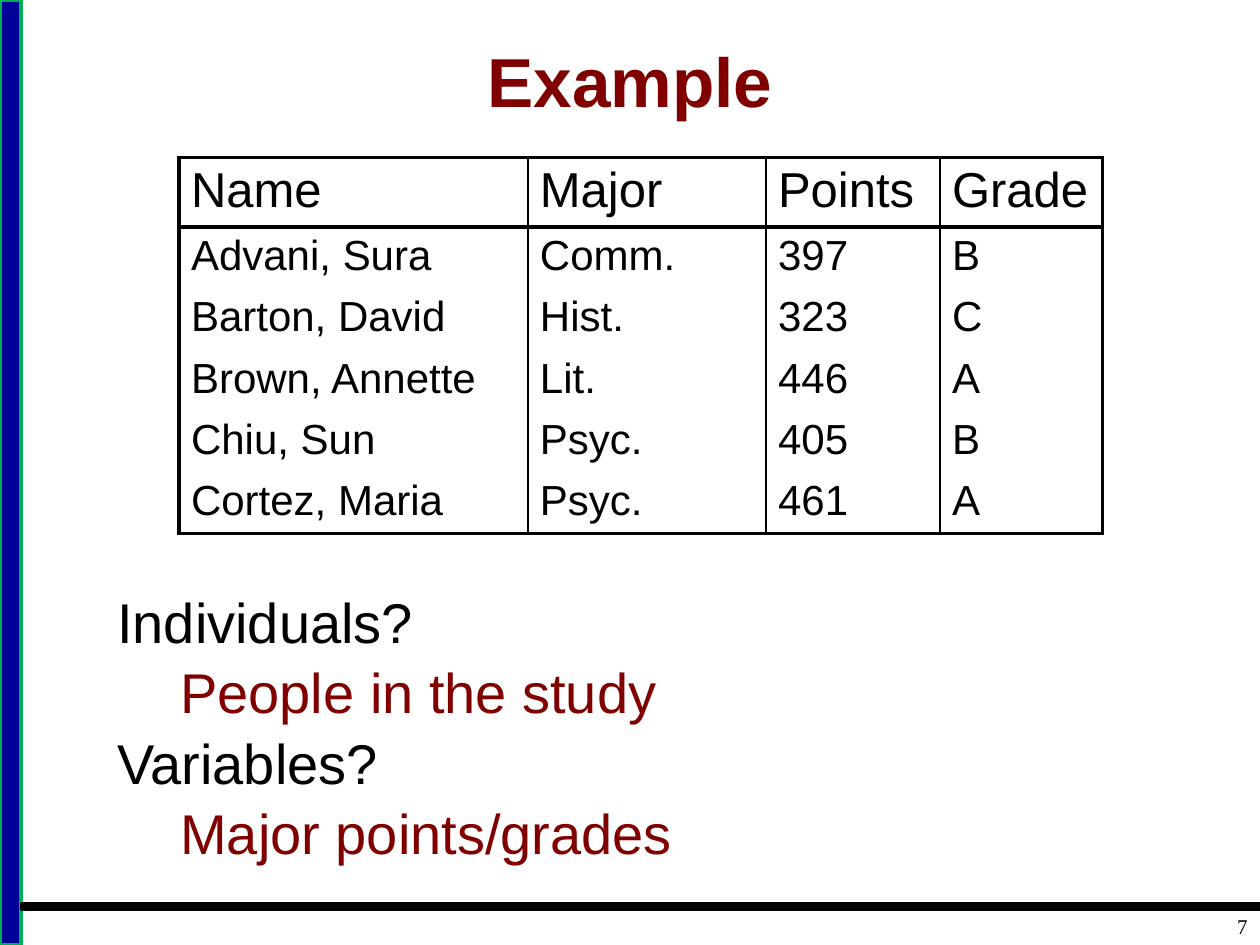
from lxml.etree import SubElement
from pptx import Presentation
from pptx.dml.color import RGBColor
from pptx.enum.shapes import MSO_SHAPE as SHAPE
from pptx.enum.text import MSO_ANCHOR as ANCHOR, MSO_AUTO_SIZE as AUTO, PP_ALIGN as ALIGN
from pptx.oxml.ns import qn
from pptx.util import Pt

BLACK, MAROON = "000000", "800000"
THICK, THIN = 2.25, 1
COLUMN_WIDTHS = [199.4, 136.1, 99.4, 92.9]
HEADER_HEIGHT, ROW_HEIGHT = 38.3, 33.9
STUDENTS = [
    ["Name", "Major", "Points", "Grade"],
    ["Advani, Sura", "Comm.", "397", "B"],
    ["Barton, David", "Hist.", "323", "C"],
    ["Brown, Annette", "Lit.", "446", "A"],
    ["Chiu, Sun", "Psyc.", "405", "B"],
    ["Cortez, Maria", "Psyc.", "461", "A"],
]
QUESTIONS = [
    ("Individuals?", "People in the study"),
    ("Variables?", "Major points/grades"),
]


def rgb(color):
    return RGBColor.from_string(color)


def place(sp, x, y, w, h):
    sp.left, sp.top, sp.width, sp.height = Pt(x), Pt(y), Pt(w), Pt(h)


def add_run(p, text, size, color=BLACK, font="Arial", bold=False):
    r = p.add_run()
    r.text = text
    r.font.name, r.font.size, r.font.bold = font, Pt(size), bold
    r.font.color.rgb = rgb(color)


def add_bar(s, x, y, w, h, fill, line):
    sp = s.shapes.add_shape(SHAPE.RECTANGLE, Pt(x), Pt(y), Pt(w), Pt(h))
    sp.shadow.inherit = False
    sp.fill.solid()
    sp.fill.fore_color.rgb = rgb(fill)
    sp.line.color.rgb = rgb(line)
    sp.line.width = Pt(2)


def add_page_number(s, number):
    tf = s.shapes.add_textbox(Pt(684), Pt(518.4), Pt(36), Pt(21.6)).text_frame
    tf.word_wrap = True
    p = tf.paragraphs[0]
    p.alignment = ALIGN.RIGHT
    add_run(p, number, 12, font="Times New Roman")


def set_title(sp, text):
    place(sp, 36, 21.6, 648, 90)
    tf = sp.text_frame
    tf.auto_size, tf.vertical_anchor, tf.margin_top = AUTO.NONE, ANCHOR.TOP, 0
    p = tf.paragraphs[0]
    p.alignment = ALIGN.CENTER
    add_run(p, text, 39.6, MAROON, bold=True)


def add_item(p, text, level, color):
    """Write one list line without a bullet, indented by its level."""
    p.level = level
    p.space_before = Pt(1.7)
    add_run(p, text, 32, color)
    pPr = p._p.get_or_add_pPr()
    pPr.set("marL", str(Pt(36 * level)))
    pPr.set("indent", "0")
    SubElement(pPr, qn("a:buNone"))


def set_questions(sp, questions):
    place(sp, 59.8, 329.8, 432, 162.7)
    tf = sp.text_frame
    tf.auto_size, tf.vertical_anchor, tf.margin_top = AUTO.NONE, ANCHOR.TOP, Pt(6)
    p = tf.paragraphs[0]
    for i, (question, answer) in enumerate(questions):
        add_item(tf.add_paragraph() if i else p, question, 0, BLACK)
        add_item(tf.add_paragraph(), answer, 1, MAROON)


def set_borders(cell, **widths):
    """Draw the edges L, R, T, B in the given widths; zero means no line."""
    tcPr = cell._tc.get_or_add_tcPr()
    for i, (edge, width) in enumerate(widths.items()):
        ln = tcPr.makeelement(qn(f"a:ln{edge}"), {"w": str(Pt(width))})
        tcPr.insert(i, ln)
        if width:
            fill = SubElement(ln, qn("a:solidFill"))
            SubElement(fill, qn("a:srgbClr"), val=BLACK)
        else:
            SubElement(ln, qn("a:noFill"))


def add_student_table(s, rows):
    last_row, last_col = len(rows) - 1, len(COLUMN_WIDTHS) - 1
    height = HEADER_HEIGHT + ROW_HEIGHT * last_row
    table = s.shapes.add_table(len(rows), len(COLUMN_WIDTHS), Pt(102.2), Pt(90),
                               Pt(sum(COLUMN_WIDTHS)), Pt(height)).table
    table.first_row = table.horz_banding = False
    for column, width in zip(table.columns, COLUMN_WIDTHS):
        column.width = Pt(width)
    for i, values in enumerate(rows):
        table.rows[i].height = Pt(ROW_HEIGHT if i else HEADER_HEIGHT)
        for j, value in enumerate(values):
            cell = table.cell(i, j)
            cell.fill.background()
            cell.margin_left = cell.margin_right = Pt(7)
            cell.margin_top = cell.margin_bottom = Pt(3.1)
            add_run(cell.text_frame.paragraphs[0], value, 24 if i else 28)
            set_borders(cell,
                        L=THIN if j else THICK,
                        R=THICK if j == last_col else THIN,
                        T=THICK if i < 2 else 0,
                        B=THICK if i in (0, last_row) else 0)


def main():
    prs = Presentation()
    prs.slide_width, prs.slide_height = Pt(720), Pt(540)
    s = prs.slides.add_slide(prs.slide_layouts[1])
    add_bar(s, 0, 0, 12.2, 540, "000099", "00B050")
    add_page_number(s, "7")
    add_bar(s, 12.2, 516.2, 707.8, 3.6, BLACK, BLACK)
    set_title(s.shapes.title, "Example")
    add_student_table(s, STUDENTS)
    set_questions(s.placeholders[1], QUESTIONS)
    prs.save("out.pptx")


if __name__ == "__main__":
    main()
